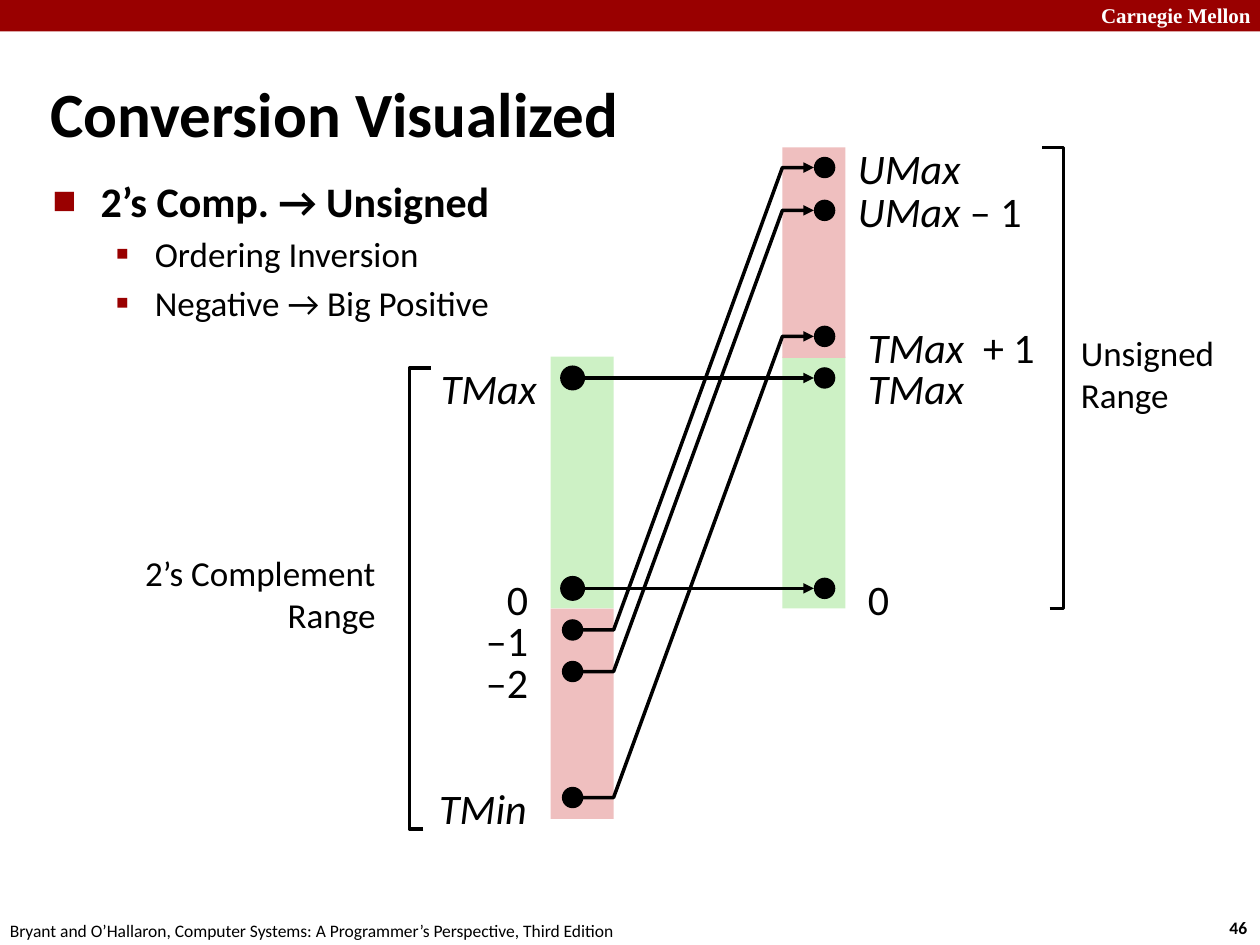
from lxml import etree
from pptx import Presentation
from pptx.dml.color import RGBColor
from pptx.enum.shapes import MSO_CONNECTOR, MSO_SHAPE
from pptx.enum.text import MSO_ANCHOR, PP_ALIGN
from pptx.oxml.ns import qn
from pptx.util import Inches, Pt

RECT, OVAL = MSO_SHAPE.RECTANGLE, MSO_SHAPE.OVAL
STRAIGHT = MSO_CONNECTOR.STRAIGHT
LEFT, RIGHT = PP_ALIGN.LEFT, PP_ALIGN.RIGHT
TOP, MIDDLE = MSO_ANCHOR.TOP, MSO_ANCHOR.MIDDLE
BLACK = RGBColor(0, 0, 0)
WHITE = RGBColor(0xFF, 0xFF, 0xFF)
CRIMSON = RGBColor(0x99, 0, 0)
GREEN = RGBColor(0xCD, 0xF1, 0xC5)
PINK = RGBColor(0xEF, 0xBF, 0xBF)

# Content: bullets as (text, level)
TITLE = "Conversion Visualized"
BULLETS = [("2’s Comp. → Unsigned", 0), ("Ordering Inversion", 1),
           ("Negative → Big Positive", 1)]
# level: (bullet, bullet size %, left margin, hanging, text size, bold)
LEVELS = [("■", 60, 0.38, 0.38, 24, True), ("▪", 110, 0.81, 0.31, 20, False)]
FOOTER = "Bryant and O’Hallaron, Computer Systems: A Programmer’s Perspective, Third Edition"

# Number scales: (italic part, upright part, dot y, left, width, wrap)
SIGNED = [("TMax", "", 3, 3.39, 0.97, False), ("", "0", 4.67, 3.46, 0.83, True),
          ("", "–1", 5, 3.46, 0.83, True), ("", "–2", 5.33, 3.46, 0.83, True),
          ("TMin", "", 6.33, 3.38, 0.9, False)]
UNSIGNED = [("UMax", "", 1.33, 6.71, 1.25, True), ("UMax", " – 1", 1.67, 6.71, 1.58, True),
            ("TMax  ", "+ 1", 2.67, 6.79, 1.54, False), ("TMax", "", 3, 6.79, 0.97, False),
            ("", "0", 4.67, 6.79, 0.83, True)]
SAME = [3, 4.67]                                  # values kept by the conversion
MOVED = [(5, 1.33), (5.33, 1.67), (6.33, 2.67)]   # negative to big positive

# Geometry in inches
BAR_W, DOT, LABEL_H = 0.5, 0.17, 0.51
SIGNED_X, UNSIGNED_X = 4.37, 6.21
BARS = [(UNSIGNED_X, 2.83, 2, GREEN), (SIGNED_X, 2.83, 2, GREEN),
        (SIGNED_X, 4.83, 1.67, PINK), (UNSIGNED_X, 1.17, 1.67, PINK)]
SIGNED_DOT, UNSIGNED_DOT = 4.46, 6.46             # left edges of the dots
START, END = 4.62, 6.46
BRACKETS = [[(3.36, 6.58), (3.25, 6.58), (3.25, 2.92), (3.42, 2.92)],
            [(8.33, 4.83), (8.44, 4.83), (8.44, 1.17), (8.27, 1.17)]]

prs = Presentation()
prs.slide_width, prs.slide_height = Inches(10), Inches(7.5)
s = prs.slides.add_slide(prs.slide_layouts[6])


def style(run, size, bold=False, italic=False, color=BLACK, font="Calibri"):
    f = run.font
    f.name, f.size, f.bold, f.italic = font, Pt(size), bold, italic
    f.color.rgb = color


def text_box(x, y, w, h, wrap=True, anchor=TOP):
    tf = s.shapes.add_textbox(Inches(x), Inches(y), Inches(w), Inches(h)).text_frame
    tf.word_wrap, tf.vertical_anchor = wrap, anchor
    return tf


def label(text, x, y, w, h, size, align=LEFT, wrap=True, anchor=TOP, **look):
    tf = text_box(x, y, w, h, wrap, anchor)
    tf.text = text
    for p in tf.paragraphs:
        p.alignment = align
        style(p.runs[0], size, **look)


def solid(kind, x, y, w, h, color):
    sp = s.shapes.add_shape(kind, Inches(x), Inches(y), Inches(w), Inches(h))
    sp.shadow.inherit = False
    sp.fill.solid()
    sp.fill.fore_color.rgb = color
    sp.line.fill.background()
    return sp


def outline(line, arrow=False):
    line.color.rgb, line.width = BLACK, Pt(2)
    if arrow:
        etree.SubElement(line._get_or_add_ln(), qn("a:tailEnd"), type="triangle")


def polyline(points, arrow=False):
    first, *rest = [(Inches(x), Inches(y)) for x, y in points]
    fb = s.shapes.build_freeform(*first)
    fb.add_line_segments(rest, close=False)
    sp = fb.convert_to_shape()
    sp.shadow.inherit = False
    sp.fill.background()
    outline(sp.line, arrow)


def bullet(p, char, percent, margin, hanging):
    pPr = p._p.get_or_add_pPr()
    pPr.set("marL", str(Inches(margin)))
    pPr.set("indent", str(-Inches(hanging)))
    color = etree.SubElement(pPr, qn("a:buClr"))
    etree.SubElement(color, qn("a:srgbClr"), val=str(CRIMSON))
    etree.SubElement(pPr, qn("a:buSzPct"), val=str(percent * 1000))
    etree.SubElement(pPr, qn("a:buFont"), typeface="Calibri")
    etree.SubElement(pPr, qn("a:buChar"), char=char)


# Header band and footer
solid(RECT, 0, 0, 10, 0.25, CRIMSON)
label("Carnegie Mellon", 8.64, -0.03, 1.43, 0.3, 12, bold=True, color=WHITE,
      font="Times New Roman")
label("46", 9.66, 7.23, 0.37, 0.27, 10, wrap=False, bold=True)
label(FOOTER, -0.02, 7.25, 5.08, 0.27, 10, wrap=False)

# Range bars
for x, y, h, color in BARS:
    solid(RECT, x, y, BAR_W, h, color)

# Dots and number labels
for scale, dot_x, align in ((SIGNED, SIGNED_DOT, RIGHT), (UNSIGNED, UNSIGNED_DOT, LEFT)):
    for name, number, y, x, w, wrap in scale:
        dot = solid(OVAL, dot_x, y - DOT / 2, DOT, DOT, BLACK)
        if scale is SIGNED and y in SAME:
            outline(dot.line)
        # the two top unsigned labels sit a little higher
        top = y - (0.25 if name.startswith("UMax") else 0.17)
        p = text_box(x, top, w, LABEL_H, wrap).paragraphs[0]
        p.alignment = align
        for text, italic in ((name, True), (number, False)):
            if text:
                r = p.add_run()
                r.text = text
                style(r, 24, italic=italic)

# Conversion arrows
for y in SAME:
    c = s.shapes.add_connector(STRAIGHT, Inches(START), Inches(y), Inches(END), Inches(y))
    outline(c.line, arrow=True)
    etree.SubElement(c._element.spPr, qn("a:effectLst"))
for y1, y2 in MOVED:
    polyline([(START, y1), (SIGNED_X + BAR_W, y1), (UNSIGNED_X, y2), (END, y2)], arrow=True)

# Range brackets and their names
for points in BRACKETS:
    polyline(points)
label("2’s Complement Range", 0.75, 4.33, 2.33, 0.77, 20, align=RIGHT)
label("Unsigned\nRange", 8.48, 2.58, 1.27, 0.77, 20, wrap=False)

# Title and bullets
label(TITLE, 0.3, 0.58, 8.69, 0.63, 36, anchor=MIDDLE, bold=True)
tf = text_box(0.32, 1.34, 4.55, 1.88)
for i, (text, level) in enumerate(BULLETS):
    char, percent, margin, hanging, size, bold = LEVELS[level]
    p = tf.add_paragraph() if i else tf.paragraphs[0]
    p.text, p.level = text, level
    bullet(p, char, percent, margin, hanging)
    if i:
        p.space_before = Pt(size * 0.2)
    style(p.runs[0], size, bold=bold)

prs.save("out.pptx")
